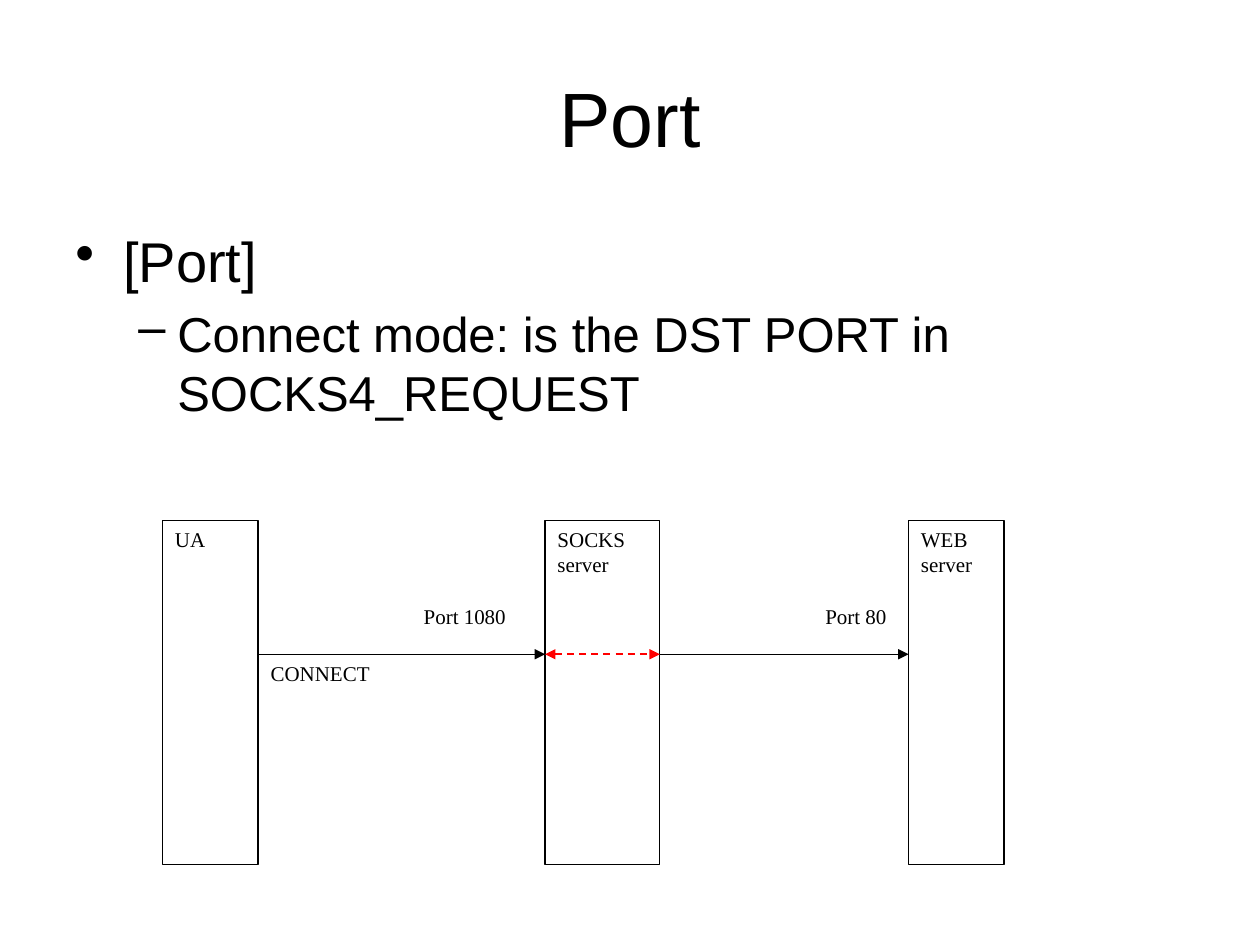
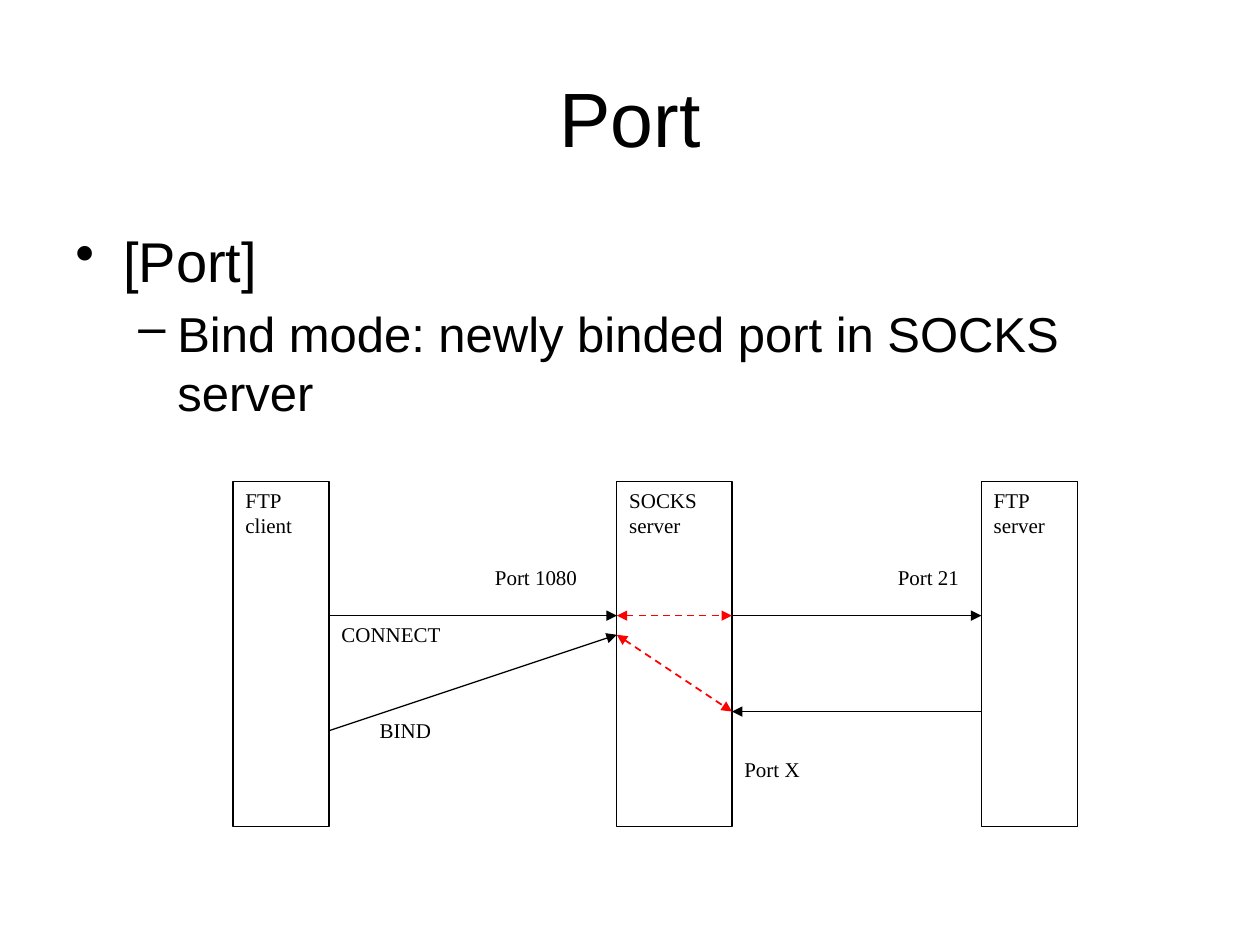
from lxml import etree
from pptx import Presentation
from pptx.dml.color import RGBColor
from pptx.enum.dml import MSO_LINE
from pptx.enum.shapes import MSO_CONNECTOR, MSO_SHAPE
from pptx.enum.text import MSO_ANCHOR, PP_ALIGN
from pptx.oxml.ns import qn
from pptx.util import Inches, Pt

BLACK = RGBColor(0x00, 0x00, 0x00)
WHITE = RGBColor(0xFF, 0xFF, 0xFF)
RED = RGBColor(0xFF, 0x00, 0x00)
RECTANGLE = MSO_SHAPE.RECTANGLE
STRAIGHT = MSO_CONNECTOR.STRAIGHT
DASH = MSO_LINE.DASH
CENTER, LEFT = PP_ALIGN.CENTER, PP_ALIGN.LEFT
TOP, MIDDLE = MSO_ANCHOR.TOP, MSO_ANCHOR.MIDDLE

HEADING_FONT = "Arial"
LABEL_FONT = "Times New Roman"
BULLET_LEVELS = [("•", 32, 0.38, -0.38), ("–", 28, 0.81, -0.31)]

GRID_COLUMNS = 44
LANE_ROWS = 18
LABEL_ROWS = 3
CLIENT_EDGE, SOCKS_LEFT, SOCKS_RIGHT, SERVER_EDGE = 5, 20, 26, 39
REQUEST_ROW = 7
PORT_ROW = 4


class SlideBuilder:
    def __init__(self, deck):
        self.deck = deck
        self.page = None
        self.left = self.top = self.cell = 0

    def new_page(self, left, top, width):
        self.page = self.deck.slides.add_slide(self.deck.slide_layouts[6])
        self.left, self.top = left, top
        self.cell = width / GRID_COLUMNS

    def point(self, column, row):
        return Inches(self.left + column * self.cell), Inches(self.top + row * self.cell)

    def area(self, column, row, columns, rows):
        return *self.point(column, row), Inches(columns * self.cell), Inches(rows * self.cell)

    def set_text(self, box, text, size, font, align=LEFT, anchor=TOP):
        frame = box.text_frame
        frame.word_wrap = True
        frame.vertical_anchor = anchor
        frame.text = text
        for para in frame.paragraphs:
            para.alignment = align
            for span in para.runs:
                span.font.size = Pt(size)
                span.font.name = font
                span.font.color.rgb = BLACK
        return frame

    def text_area(self, top, height):
        return self.page.shapes.add_textbox(Inches(0.5), Inches(top), Inches(9), Inches(height))

    def title(self, text):
        self.set_text(self.text_area(0.3, 1.25), text, 44, HEADING_FONT, CENTER, MIDDLE)

    def bullets(self, lines):
        frame = self.set_text(self.text_area(1.75, 4.95), "\n".join(lines), 32, HEADING_FONT)
        for level, para in enumerate(frame.paragraphs):
            symbol, size, margin, indent = BULLET_LEVELS[level]
            para.level = level
            for span in para.runs:
                span.font.size = Pt(size)
            properties = para._p.get_or_add_pPr()
            properties.set("marL", str(Inches(margin)))
            properties.set("indent", str(Inches(indent)))
            spacing = etree.SubElement(properties, qn("a:spcBef"))
            etree.SubElement(spacing, qn("a:spcPct"), val="20000")
            etree.SubElement(properties, qn("a:buChar"), char=symbol)

    def lane(self, column, columns, text):
        box = self.page.shapes.add_shape(RECTANGLE, *self.area(column, 0, columns, LANE_ROWS))
        box.shadow.inherit = False
        box.fill.solid()
        box.fill.fore_color.rgb = WHITE
        box.line.color.rgb = BLACK
        box.line.width = Pt(0.75)
        self.set_text(box, text, 12, LABEL_FONT)

    def label(self, column, row, columns, text):
        box = self.page.shapes.add_textbox(*self.area(column, row, columns, LABEL_ROWS))
        self.set_text(box, text, 12, LABEL_FONT)

    def arrow(self, start, end, relay=False):
        connector = self.page.shapes.add_connector(STRAIGHT, *self.point(*start), *self.point(*end))
        connector.line.color.rgb = RED if relay else BLACK
        connector.line.width = Pt(1 if relay else 0.75)
        if relay:
            connector.line.dash_style = DASH
        properties = connector._element.spPr
        outline = properties.find(qn("a:ln"))
        for tag in ("a:headEnd", "a:tailEnd") if relay else ("a:tailEnd",):
            etree.SubElement(outline, qn(tag), type="triangle")
        etree.SubElement(properties, qn("a:effectLst"))

    def connect_diagram(self, client, server, server_port):
        self.lane(0, CLIENT_EDGE, client)
        self.lane(SOCKS_LEFT, SOCKS_RIGHT - SOCKS_LEFT, "SOCKS\nserver")
        self.lane(SERVER_EDGE, GRID_COLUMNS - SERVER_EDGE, server)
        self.arrow((CLIENT_EDGE, REQUEST_ROW), (SOCKS_LEFT, REQUEST_ROW))
        self.arrow((SOCKS_RIGHT, REQUEST_ROW), (SERVER_EDGE, REQUEST_ROW))
        self.label(34, PORT_ROW, 6, server_port)
        self.label(13, PORT_ROW, 8, "Port 1080")
        self.label(CLIENT_EDGE, REQUEST_ROW, 8, "CONNECT")
        self.arrow((SOCKS_LEFT, REQUEST_ROW), (SOCKS_RIGHT, REQUEST_ROW), relay=True)

    def bind_steps(self):
        self.label(SOCKS_RIGHT, 14, 6, "Port X")
        self.label(7, 12, 8, "BIND")
        self.arrow((SERVER_EDGE, 12), (SOCKS_RIGHT, 12))
        self.arrow((CLIENT_EDGE, 13), (SOCKS_LEFT, 8))
        self.arrow((SOCKS_LEFT, 8), (SOCKS_RIGHT, 12), relay=True)


def main():
    deck = Presentation()
    deck.slide_width, deck.slide_height = Inches(10), Inches(7.5)
    builder = SlideBuilder(deck)

    builder.new_page(1.29, 4.13, 6.68)
    builder.title("Port")
    builder.bullets(["[Port]", "Connect mode: is the DST PORT in SOCKS4_REQUEST"])
    builder.connect_diagram("UA", "WEB\nserver", "Port 80")

    builder.new_page(1.85, 3.82, 6.7)
    builder.title("Port")
    builder.bullets(["[Port]", "Bind mode: newly binded port in SOCKS server"])
    builder.connect_diagram("FTP\nclient", "FTP\nserver", "Port 21")
    builder.bind_steps()

    deck.save("out.pptx")


if __name__ == "__main__":
    main()
